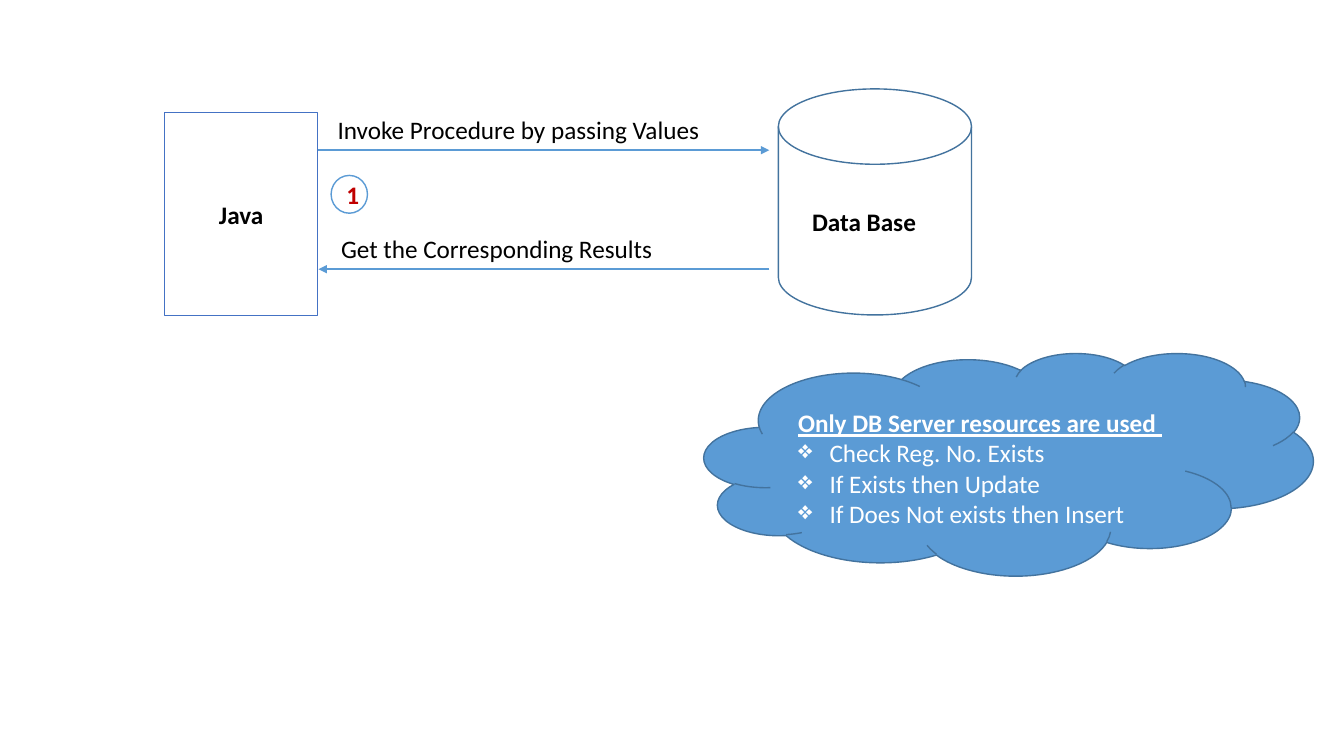
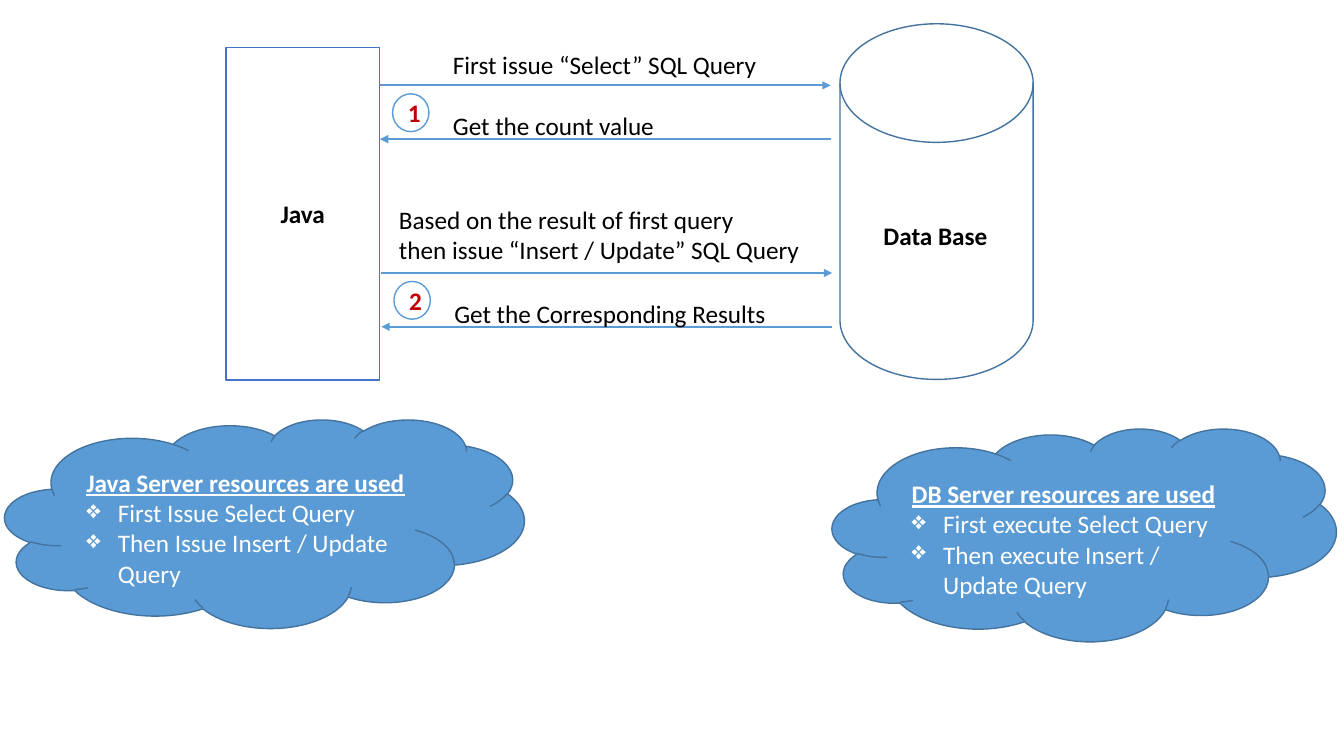
from lxml import etree
from pptx import Presentation
from pptx.dml.color import RGBColor
from pptx.enum.shapes import MSO_CONNECTOR, MSO_SHAPE
from pptx.enum.text import MSO_ANCHOR, PP_ALIGN
from pptx.oxml.ns import qn
from pptx.util import Pt

RECTANGLE = MSO_SHAPE.RECTANGLE
DISK = MSO_SHAPE.FLOWCHART_MAGNETIC_DISK
CIRCLE = MSO_SHAPE.FLOWCHART_CONNECTOR
CLOUD = MSO_SHAPE.CLOUD
STRAIGHT = MSO_CONNECTOR.STRAIGHT
LEFT, CENTER = PP_ALIGN.LEFT, PP_ALIGN.CENTER
TOP, MIDDLE = MSO_ANCHOR.TOP, MSO_ANCHOR.MIDDLE

WHITE, BLACK, RED = "FFFFFF", "000000", "C00000"
BLUE, DARK_BLUE, SERVER_BLUE = "5B9BD5", "43739E", "4472C4"
FONT, TEXT_SIZE = "Calibri", 18
ARROW_LENGTH = 322
BADGE_SIZE = 26, 27
LABEL_LINE, LABEL_PADDING = 22, 7
BULLET_INDENT = 22.5


def color(value):
    return RGBColor.from_string(value)


def write(shape, lines, ink=BLACK, bold=False, align=LEFT, anchor=TOP):
    frame = shape.text_frame
    frame.word_wrap = True
    frame.vertical_anchor = anchor
    for index, line in enumerate(lines):
        para = frame.add_paragraph() if index else frame.paragraphs[0]
        para.text = line
        para.alignment = align
        para.font.name = FONT
        para.font.size = Pt(TEXT_SIZE)
        para.font.bold = bold
        para.font.color.rgb = color(ink)
    return frame


def add_outline(page, kind, box, line, fill=None):
    shape = page.shapes.add_shape(kind, *map(Pt, box))
    shape.shadow.inherit = False
    if fill:
        shape.fill.solid()
        shape.fill.fore_color.rgb = color(fill)
    else:
        shape.fill.background()
    shape.line.color.rgb = color(line)
    shape.line.width = Pt(1)
    return shape


def add_label(page, left, top, width, lines, bold=False):
    height = LABEL_LINE * len(lines) + LABEL_PADDING
    label = page.shapes.add_textbox(*map(Pt, (left, top, width, height)))
    write(label, lines, bold=bold)


def add_arrow(page, start, end, y):
    arrow = page.shapes.add_connector(STRAIGHT, Pt(start), Pt(y), Pt(end), Pt(y))
    arrow.line.color.rgb = color(BLUE)
    arrow.line.width = Pt(1.5)
    etree.SubElement(arrow.line._get_or_add_ln(), qn("a:tailEnd"), type="triangle")
    etree.SubElement(arrow._element.spPr, qn("a:effectLst"))


def add_server(page, box):
    server = add_outline(page, RECTANGLE, box, SERVER_BLUE, WHITE)
    write(server, ["Java"], bold=True, align=CENTER, anchor=MIDDLE)


def add_database(page, box, label_left, label_top):
    left, top = box[:2]
    add_outline(page, DISK, box, DARK_BLUE)
    add_label(page, left + label_left, top + label_top, 103, ["Data Base"], bold=True)


def add_exchange(page, left, top, gap, number, badge_drop, request, reply):
    right = left + ARROW_LENGTH
    add_arrow(page, left, right, top)
    add_arrow(page, right, left, top + gap)
    for indent, rise, lines in (request, reply):
        y = top + gap if lines is reply[2] else top
        add_label(page, left + indent, y - rise, ARROW_LENGTH, lines)
    badge_box = (left + 9, top + badge_drop, *BADGE_SIZE)
    badge = add_outline(page, CIRCLE, badge_box, BLUE)
    write(badge, [str(number)], RED, bold=True, align=CENTER, anchor=MIDDLE)


def add_cloud(page, box, heading, steps):
    cloud = add_outline(page, CLOUD, box, DARK_BLUE, BLUE)
    frame = write(cloud, [heading, *steps], WHITE, anchor=MIDDLE)
    frame.margin_top = Pt(16.5)
    first, *bullets = frame.paragraphs
    first.font.bold = True
    first.font.underline = True
    for para in bullets:
        properties = para._p.get_or_add_pPr()
        properties.set("marL", str(Pt(BULLET_INDENT)))
        properties.set("indent", str(-Pt(BULLET_INDENT)))
        bullet = etree.Element(qn("a:buChar"), char="❖")
        properties.insert(0, bullet)


def build_procedure_page(page):
    add_server(page, (117.5, 80.5, 109.5, 145))
    add_database(page, (556, 63.5, 138, 161.5), 17, 80.5)
    add_exchange(page, 227.5, 107.3, 85, 1, 18,
                 (6.5, 29, ["Invoke Procedure by passing Values"]),
                 (9, 29, ["Get the Corresponding Results"]))
    add_cloud(page, (503, 252, 435, 159), "Only DB Server resources are used ",
              ["Check Reg. No. Exists", "If Exists then Update",
               "If Does Not exists then Insert"])


def build_query_page(page):
    add_server(page, (161.5, 34, 109.5, 237.5))
    add_database(page, (600, 17, 138, 254), 24, 137)
    add_exchange(page, 271.4, 61, 38.4, 1, 6,
                 (45, 29, ["First issue “Select” SQL Query"]),
                 (45, 24, ["Get the count value"]))
    add_exchange(page, 272.4, 195, 38.4, 2, 6,
                 (5.5, 52.5, ["Based on the result of first query",
                              "then issue “Insert / Update” SQL Query"]),
                 (45, 24, ["Get the Corresponding Results"]))
    add_cloud(page, (3.5, 299.5, 371, 149), "Java Server resources are used",
              ["First Issue Select Query", "Then Issue Insert / Update Query"])
    add_cloud(page, (594.5, 306, 360, 152), "DB Server resources are used",
              ["First execute Select Query", "Then execute Insert / Update Query"])


def main():
    deck = Presentation()
    deck.slide_width, deck.slide_height = Pt(960), Pt(540)
    for build in (build_procedure_page, build_query_page):
        build(deck.slides.add_slide(deck.slide_layouts[6]))
    deck.save("out.pptx")


if __name__ == "__main__":
    main()
